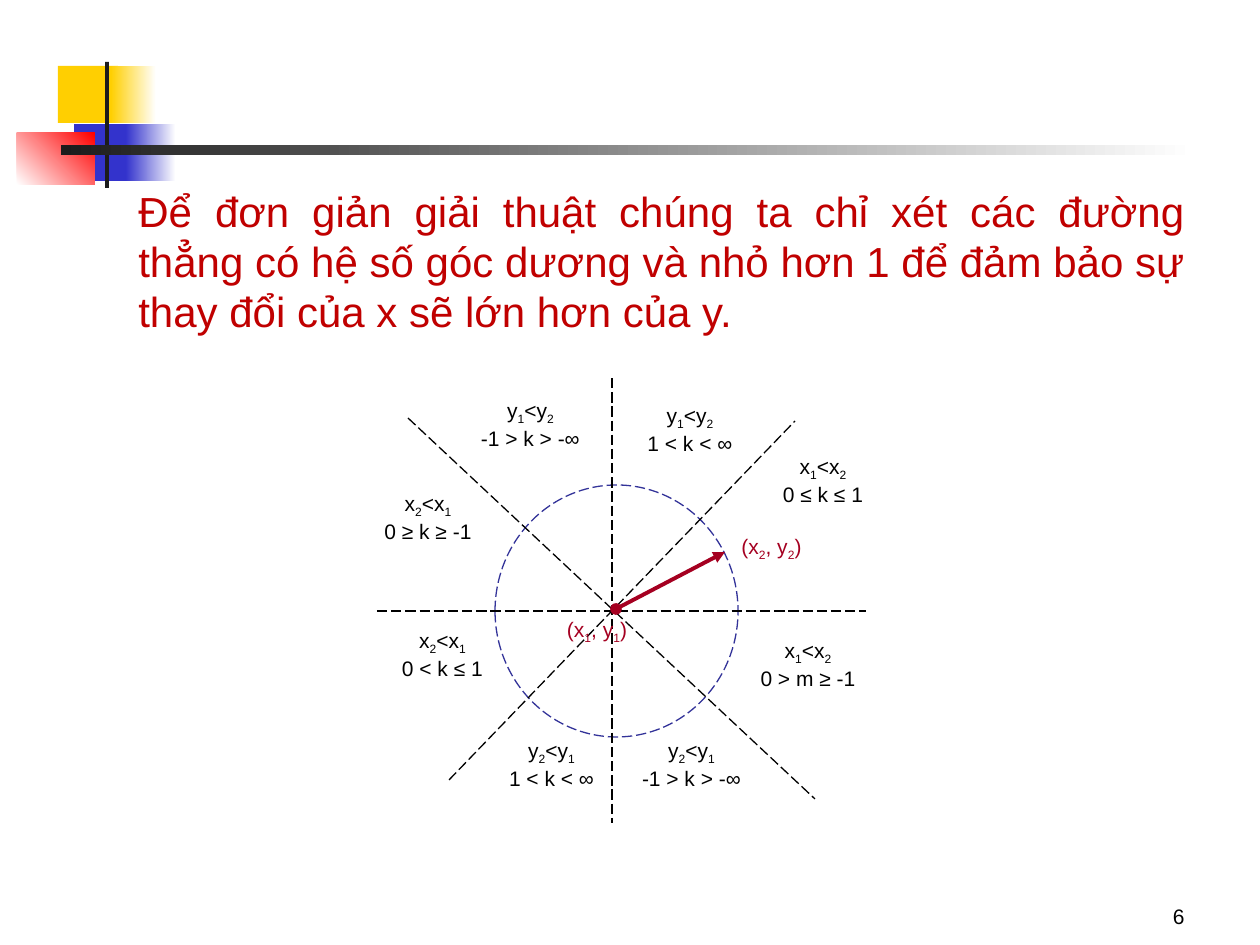
from lxml import etree
from pptx import Presentation
from pptx.dml.color import RGBColor
from pptx.enum.dml import MSO_LINE
from pptx.enum.shapes import MSO_CONNECTOR, MSO_SHAPE
from pptx.enum.text import MSO_ANCHOR, PP_ALIGN
from pptx.oxml.ns import qn
from pptx.util import Emu, Pt

DASH = MSO_LINE.LONG_DASH
STRAIGHT = MSO_CONNECTOR.STRAIGHT
RECT, OVAL = MSO_SHAPE.RECTANGLE, MSO_SHAPE.OVAL
TOP, BOTTOM = MSO_ANCHOR.TOP, MSO_ANCHOR.BOTTOM
CENTER, RIGHT, JUSTIFY = PP_ALIGN.CENTER, PP_ALIGN.RIGHT, PP_ALIGN.JUSTIFY

SCALE = 914400 / 126
COLORS = {
    "white": "FFFFFF", "black": "000000", "ink": "1C1C1C",
    "yellow": "FFCF01", "blue": "3333CC", "red": "FF0000",
    "ring": "333399", "point": "A50021", "body": "C00000",
}
BODY = ("Để đơn giản giải thuật chúng ta chỉ xét các đường thẳng có hệ số góc "
        "dương và nhỏ hơn 1 để đảm bảo sự thay đổi của x sẽ lớn hơn của y.")

# Box, colours (two make a gradient), gradient angle
DECOR = [
    ((58, 66, 60, 57), ["yellow"], 0),
    ((111, 66, 45, 57), ["yellow", "white"], 0),
    ((74, 124, 58, 57), ["blue"], 0),
    ((126, 124, 50, 57), ["blue", "white"], 0),
    ((17, 133, 78, 52), ["white", "red"], 45),
    ((105, 62, 4, 126), ["ink"], 0),
    ((61, 145, 1134, 10), ["ink", "white"], 0),
]
AXES = [
    (377, 611, 866, 611),
    (612, 378, 612, 823),
    (449, 780, 795, 421),
    (408, 418, 815, 799),
]
POINTS = [
    ((702, 527, 139, 59), "(x_2, y_2)"),
    ((536, 610, 122, 53), "(x_1, y_1)"),
]
# Left, top, width, order of the ends, range of the slope
OCTANTS = [
    (743, 447, 160, "x_1<x_2", "0 ≤ k ≤ 1"),
    (730, 631, 156, "x_1<x_2", "0 > m ≥ -1"),
    (601, 731, 181, "y_2<y_1", "-1 > k > -∞"),
    (479, 731, 145, "y_2<y_1", "1 < k < ∞"),
    (362, 621, 161, "x_2<x_1", "0 < k ≤ 1"),
    (357, 484, 142, "x_2<x_1", "0 ≥ k ≥ -1"),
    (456, 391, 149, "y_1<y_2", "-1 > k > -∞"),
    (615, 396, 150, "y_1<y_2", "1 < k < ∞"),
]


def px(num):
    return Emu(round(num * SCALE))


def color(name):
    return RGBColor.from_string(COLORS[name])


def add_block(shapes, kind, box, fills, angle=0):
    """Add a borderless shape; two fills make a gradient."""
    block = shapes.add_shape(kind, *map(px, box))
    block.shadow.inherit = False
    block.line.fill.background()
    if len(fills) == 1:
        block.fill.solid()
        block.fill.fore_color.rgb = color(fills[0])
    else:
        block.fill.gradient()
        block.fill.gradient_angle = angle
        for stop, name in zip(block.fill.gradient_stops, fills):
            stop.color.rgb = color(name)
    return block


def set_line(line, name, width, dash=None):
    line.color.rgb = color(name)
    line.width = Pt(width)
    if dash is not None:
        line.dash_style = dash


def add_line(shapes, ends, name, width, dash=None):
    line = shapes.add_connector(STRAIGHT, *map(px, ends))
    set_line(line.line, name, width, dash)
    etree.SubElement(line._element.spPr, qn("a:effectLst"))
    return line


def add_caps(line, head, tail):
    stroke = line.line._get_or_add_ln()
    for tag, kind in (("a:headEnd", head), ("a:tailEnd", tail)):
        etree.SubElement(stroke, qn(tag), type=kind)


def add_runs(para, text):
    """Fill a paragraph; the character after each underscore is a subscript."""
    first, *rest = text.split("_")
    para.add_run().text = first
    for part in rest:
        sub = para.add_run()
        sub.text = part[0]
        sub.font._element.set("baseline", "-25000")
        if part[1:]:
            para.add_run().text = part[1:]


def add_text(shapes, box, lines, name, size=12, align=CENTER, anchor=TOP):
    frame = shapes.add_textbox(*map(px, box)).text_frame
    frame.word_wrap = True
    frame.vertical_anchor = anchor
    for i, text in enumerate(lines):
        para = frame.add_paragraph() if i else frame.paragraphs[0]
        para.alignment = align
        para.font.name = "Arial"
        para.font.size = Pt(size)
        para.font.color.rgb = color(name)
        add_runs(para, text)


def add_diagram(shapes):
    parts = shapes.add_group_shape().shapes
    ring = add_block(parts, OVAL, (495, 485, 243, 252), ["white"])
    set_line(ring.line, "ring", 0.75, DASH)
    for ends in AXES:
        add_line(parts, ends, "black", 0.75, DASH)
    vector = add_line(parts, (616, 609, 725, 552), "point", 2.25)
    add_caps(vector, "oval", "triangle")
    for box, text in POINTS:
        add_text(parts, box, [text], "point")
    for left, top, width, order, slope in OCTANTS:
        add_text(parts, (left, top, width, 84), [order, slope], "black")


def main():
    deck = Presentation()
    deck.slide_width, deck.slide_height = px(1260), px(945)
    shapes = deck.slides.add_slide(deck.slide_layouts[6]).shapes
    for box, fills, angle in DECOR:
        add_block(shapes, RECT, box, fills, angle)
    add_text(shapes, (1018, 872, 179, 63), ["6"], "black",
             align=RIGHT, anchor=BOTTOM)
    add_diagram(shapes)
    add_text(shapes, (126, 179, 1071, 164), [BODY], "body", 24, JUSTIFY)
    deck.save("out.pptx")


if __name__ == "__main__":
    main()
